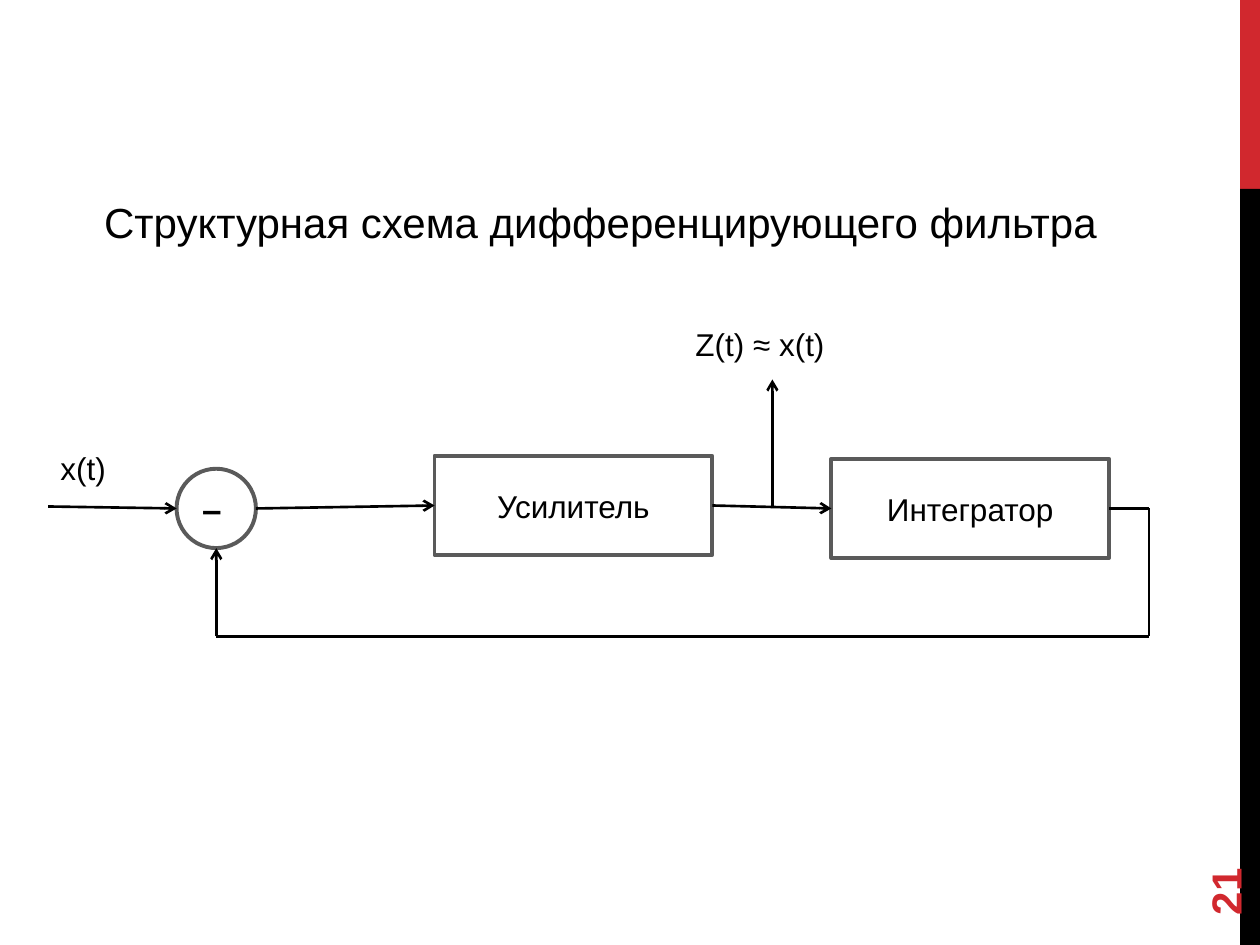
from lxml.etree import SubElement
from pptx import Presentation
from pptx.dml.color import RGBColor
from pptx.enum.shapes import MSO_CONNECTOR as Connector, MSO_SHAPE as Shape
from pptx.enum.text import MSO_ANCHOR as Anchor, PP_ALIGN as Align
from pptx.oxml.ns import qn
from pptx.util import Cm, Pt

COLOURS = {"red": "D1282E", "black": "000000", "outline": "5A5A5A"}
BASE_FONT = {"name": "Arial", "size": Pt(18), "bold": False}
CENTRED = {"alignment": Align.CENTER}

MIDDLE_Y = 10.25
FEEDBACK_Y = 12.83
FEEDBACK_X = 23.16
SUM_X, SUM_SIZE = 3.56, 1.6
SUM_CENTRE = SUM_X + SUM_SIZE / 2
OUTPUT_X = 15.57


def colour(name):
    return RGBColor.from_string(COLOURS[name])


def set_values(target, values):
    for name, value in values.items():
        setattr(target, name, value)


def add_run(paragraph, text, colour_name="black", **font_values):
    run = paragraph.add_run()
    run.text = text
    set_values(run.font, BASE_FONT | font_values)
    run.font.color.rgb = colour(colour_name)


def add_label(slide, text, box, colour_name="black", frame_values=None,
              paragraph_values=None, **font_values):
    label = slide.shapes.add_textbox(*map(Cm, box))
    set_values(label.text_frame, {"word_wrap": True} | (frame_values or {}))
    paragraph = label.text_frame.paragraphs[0]
    set_values(paragraph, paragraph_values or {})
    add_run(paragraph, text, colour_name, **font_values)
    return label


def add_bar(slide, colour_name, box):
    bar = slide.shapes.add_shape(Shape.RECTANGLE, *map(Cm, box))
    bar.shadow.inherit = False
    bar.fill.solid()
    bar.fill.fore_color.rgb = colour(colour_name)
    bar.line.fill.background()


def add_block(slide, kind, box):
    """Add an unfilled outlined block and return it with its paragraph."""
    block = slide.shapes.add_shape(kind, *map(Cm, box))
    block.shadow.inherit = False
    block.fill.background()
    block.line.color.rgb = colour("outline")
    block.line.width = Pt(2.25)
    block.text_frame.vertical_anchor = Anchor.MIDDLE
    paragraph = block.text_frame.paragraphs[0]
    set_values(paragraph, CENTRED)
    return block, paragraph


def add_named_block(slide, text, left, top):
    block, paragraph = add_block(slide, Shape.RECTANGLE, (left, top, 5.6, 2))
    add_run(paragraph, text)
    return block


def add_line(slide, start, end, arrow=False, source=None, target=None):
    """Draw a line; source and target are (shape, side) pairs to join."""
    line = slide.shapes.add_connector(
        Connector.STRAIGHT, *map(Cm, (*start, *end)))
    if source:
        line.begin_connect(*source)
    if target:
        line.end_connect(*target)
    line.line.color.rgb = colour("black")
    line.line.width = Pt(1.5)
    if arrow:
        SubElement(line.line._get_or_add_ln(), qn("a:tailEnd"), type="arrow")
    SubElement(line._element.spPr, qn("a:effectLst"))


def add_diagram(slide):
    _, sign = add_block(slide, Shape.OVAL,
                        (SUM_X, MIDDLE_Y - SUM_SIZE / 2, SUM_SIZE, SUM_SIZE))
    add_run(sign, "–", size=Pt(20), bold=True)
    add_run(sign, " ")
    amplifier = add_named_block(slide, "Усилитель", 8.76, 9.19)
    integrator = add_named_block(slide, "Интегратор", 16.76, 9.25)

    middle = (FEEDBACK_X, MIDDLE_Y)
    corner = (FEEDBACK_X, FEEDBACK_Y)
    below_sum = (SUM_CENTRE, FEEDBACK_Y)
    add_line(slide, (SUM_X + SUM_SIZE, MIDDLE_Y), (8.76, 10.19), arrow=True,
             target=(amplifier, 1))
    add_line(slide, (0.97, 10.21), (SUM_X, MIDDLE_Y), arrow=True)
    add_line(slide, (14.36, 10.19), (16.76, MIDDLE_Y), arrow=True,
             source=(amplifier, 3), target=(integrator, 1))
    add_line(slide, (22.36, MIDDLE_Y), middle, source=(integrator, 3))
    add_line(slide, middle, corner)
    add_line(slide, corner, below_sum)
    add_line(slide, below_sum, (SUM_CENTRE, MIDDLE_Y + SUM_SIZE / 2),
             arrow=True)
    add_line(slide, (OUTPUT_X, MIDDLE_Y), (OUTPUT_X, 7.65), arrow=True)

    add_label(slide, "x(t)", (0.97, 8.92, 1.8, 1.02))
    add_label(slide, "Z(t) ≈ x(t)", (13.77, 6.43, 3.61, 1.02))


def main():
    presentation = Presentation()
    set_values(presentation, {"slide_width": Cm(25.4),
                              "slide_height": Cm(19.05)})
    slide = presentation.slides.add_slide(presentation.slide_layouts[6])
    add_bar(slide, "red", (25, 0, 0.4, 3.81))
    add_bar(slide, "black", (25, 3.81, 0.4, 15.24))
    add_label(slide, "Структурная схема дифференцирующего фильтра",
              (1.85, 3.84, 21.16, 3.81), size=Pt(24),
              paragraph_values={"space_before": Pt(4), "space_after": Pt(6)})
    add_diagram(slide)
    number = add_label(slide, "21", (22.86, 16.36, 3.66, 1.02), "red",
                       {"vertical_anchor": Anchor.MIDDLE},
                       size=Pt(24), bold=True)
    number.rotation = 270
    presentation.save("out.pptx")


if __name__ == "__main__":
    main()
